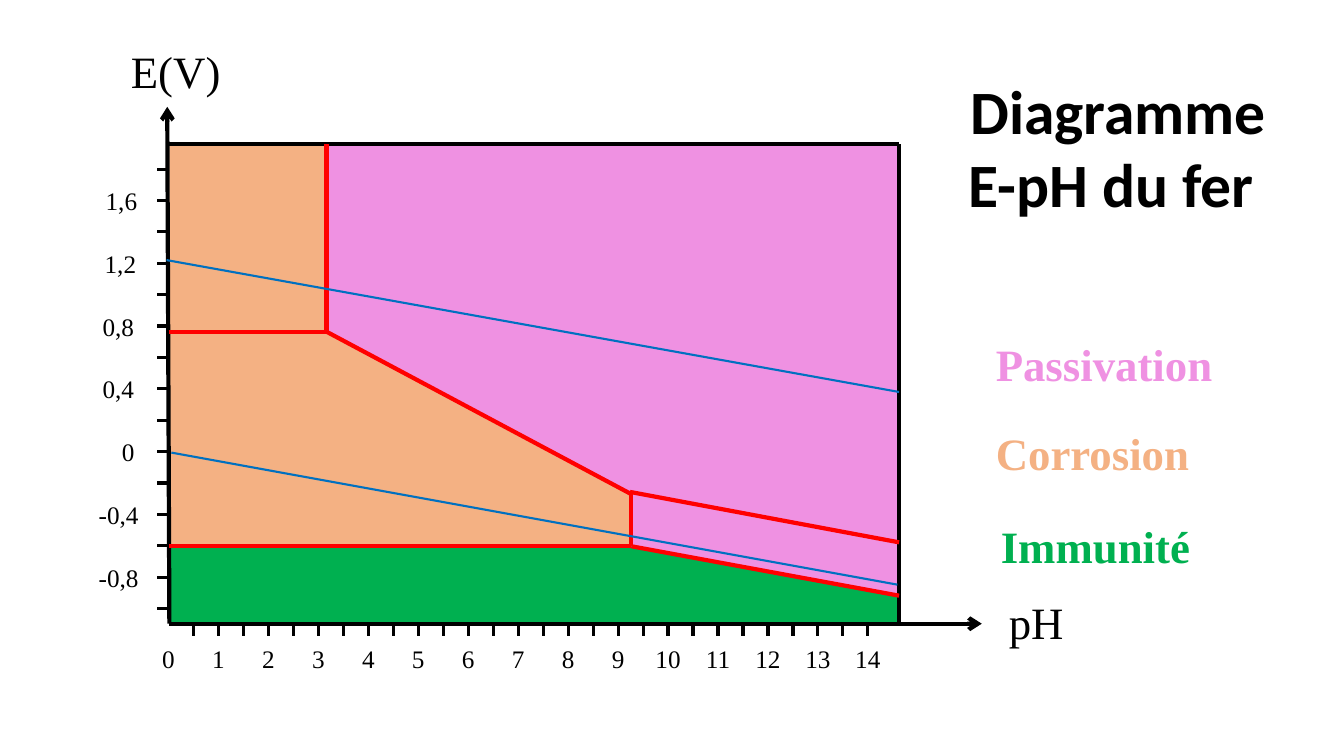
from lxml.etree import SubElement
from pptx import Presentation
from pptx.dml.color import RGBColor
from pptx.enum.shapes import MSO_CONNECTOR
from pptx.enum.text import MSO_ANCHOR, MSO_AUTO_SIZE, PP_ALIGN
from pptx.oxml.ns import qn
from pptx.util import Pt

BLACK, RED, BLUE = "000000", "FF0000", "0070C0"
PINK, ORANGE, GREEN = "EF91E2", "F4B183", "00B050"
SERIF = "Times New Roman"

LEFT, TOP, RIGHT, BOTTOM = 121, 103, 642.2, 445.5
PH_ORIGIN, PH_STEP = 120.4, 35.68
VOLT_ORIGIN, VOLT_STEP = 322.6, 112.1

FERRIC = (233.2, 236.9)
HYDROXIDE = (451, 353)
IRON = (451, 390.2)
IRON_EDGE = (RIGHT, 425.5)

DOMAINS = [
    (PINK, [(FERRIC[0], TOP), (RIGHT, TOP), IRON_EDGE, IRON, HYDROXIDE, FERRIC]),
    (ORANGE, [(LEFT, TOP), (FERRIC[0], TOP), FERRIC, HYDROXIDE, IRON, (LEFT, IRON[1])]),
    (GREEN, [(LEFT, IRON[1]), IRON, IRON_EDGE, (RIGHT, BOTTOM), (LEFT, BOTTOM)]),
]
FRAME = [((118.5, TOP), (RIGHT, TOP)), ((RIGHT, TOP), (RIGHT, BOTTOM))]
BOUNDARIES = [
    ((120.4, FERRIC[1]), FERRIC),
    ((FERRIC[0], TOP), FERRIC),
    ((LEFT, IRON[1]), IRON),
    (FERRIC, HYDROXIDE),
    (HYDROXIDE, IRON),
    (IRON, IRON_EDGE),
    ((450, 351.4), (RIGHT, 387.4)),
]
WATER_LINES = [((122.4, 323.3), (641, 417.6)), ((119, 185.8), (RIGHT, 280))]
VOLT_LABELS = [
    (-0.8, "-0,8", 63.4), (-0.4, "-0,4", 63.4), (0, "0", 79.9), (0.4, "0,4", 66.2),
    (0.8, "0,8", 66.2), (1.2, "1,2", 67.7), (1.6, "1,6", 68.4),
]
LEGEND = [
    ("Passivation", PINK, (704.2, 236.9, 170.6, 46)),
    ("Corrosion", ORANGE, (704.2, 300.2, 154.1, 46)),
    ("Immunité", GREEN, (707.8, 367.2, 151.2, 46)),
]


def colour(value):
    return RGBColor.from_string(value)


def apply(target, values):
    for name, value in values.items():
        setattr(target, name, value)


def write(frame, text, size, shade=BLACK, font=SERIF, bold=False, align=PP_ALIGN.LEFT):
    para = frame.paragraphs[0]
    para.alignment = align
    span = para.add_run()
    span.text = text
    apply(span.font, {"name": font, "size": Pt(size), "bold": bold})
    span.font.color.rgb = colour(shade)


def add_label(page, text, place, size, wrap=True, **style):
    box = page.shapes.add_textbox(*map(Pt, place))
    box.text_frame.word_wrap = wrap
    write(box.text_frame, text, size, **style)


def add_line(page, start, end, shade=BLACK, width=3, arrow=False):
    line = page.shapes.add_connector(MSO_CONNECTOR.STRAIGHT, *map(Pt, (*start, *end)))
    line.line.width = Pt(width)
    line.line.color.rgb = colour(shade)
    if arrow:
        SubElement(line.line._get_or_add_ln(), qn("a:tailEnd"), type="arrow")
    SubElement(line._element.spPr, qn("a:effectLst"))


def add_domain(page, shade, corners):
    first, *rest = [(Pt(x), Pt(y)) for x, y in corners]
    builder = page.shapes.build_freeform(*first)
    builder.add_line_segments(rest, close=True)
    domain = builder.convert_to_shape()
    domain.shadow.inherit = False
    domain.fill.solid()
    domain.fill.fore_color.rgb = colour(shade)
    domain.line.fill.background()


def add_title(page):
    title = page.shapes.title
    apply(title, {"left": Pt(679), "top": Pt(48.2), "width": Pt(239.8), "height": Pt(113.8)})
    apply(title.text_frame, {
        "word_wrap": True,
        "auto_size": MSO_AUTO_SIZE.NONE,
        "vertical_anchor": MSO_ANCHOR.TOP,
    })
    write(title.text_frame, "Diagramme E-pH du fer ", 44,
          font="Calibri", bold=True, align=PP_ALIGN.CENTER)


def add_ph_axis(page):
    add_line(page, (120.4, BOTTOM), (701.3, BOTTOM), arrow=True)
    for half in range(1, 29):
        x = PH_ORIGIN + half * PH_STEP / 2
        add_line(page, (x, BOTTOM), (x, BOTTOM + 8.6), width=2.25)
    for value in range(15):
        x = PH_ORIGIN + value * PH_STEP
        add_label(page, str(value), (x - 18, 456, 36, 29), 18, align=PP_ALIGN.CENTER)
    add_label(page, "pH", (713.5, 421.2, 92.9, 46), 32)


def add_volt_axis(page):
    add_line(page, (LEFT, BOTTOM), (119.5, 76.3), arrow=True)
    for fifth in range(-5, 10):
        y = VOLT_ORIGIN - fifth * VOLT_STEP / 5
        add_line(page, (LEFT, y), (LEFT - 8.6, y), width=2.25)
    for value, text, left in VOLT_LABELS:
        y = VOLT_ORIGIN - value * VOLT_STEP
        add_label(page, text, (left, y - 14.4, 50, 29), 18)
    add_label(page, "E(V)", (86.4, 27.4, 85.7, 46), 32)


def main():
    deck = Presentation()
    apply(deck, {"slide_width": Pt(960), "slide_height": Pt(540)})
    page = deck.slides.add_slide(deck.slide_layouts[5])
    add_title(page)
    for shade, corners in DOMAINS:
        add_domain(page, shade, corners)
    add_ph_axis(page)
    add_volt_axis(page)
    for lines, shade, width in [(FRAME, BLACK, 3), (BOUNDARIES, RED, 3), (WATER_LINES, BLUE, 1.5)]:
        for start, end in lines:
            add_line(page, start, end, shade, width)
    for text, shade, place in LEGEND:
        add_label(page, text, place, 32, wrap=False, shade=shade, bold=True)
    deck.save("out.pptx")


if __name__ == "__main__":
    main()
